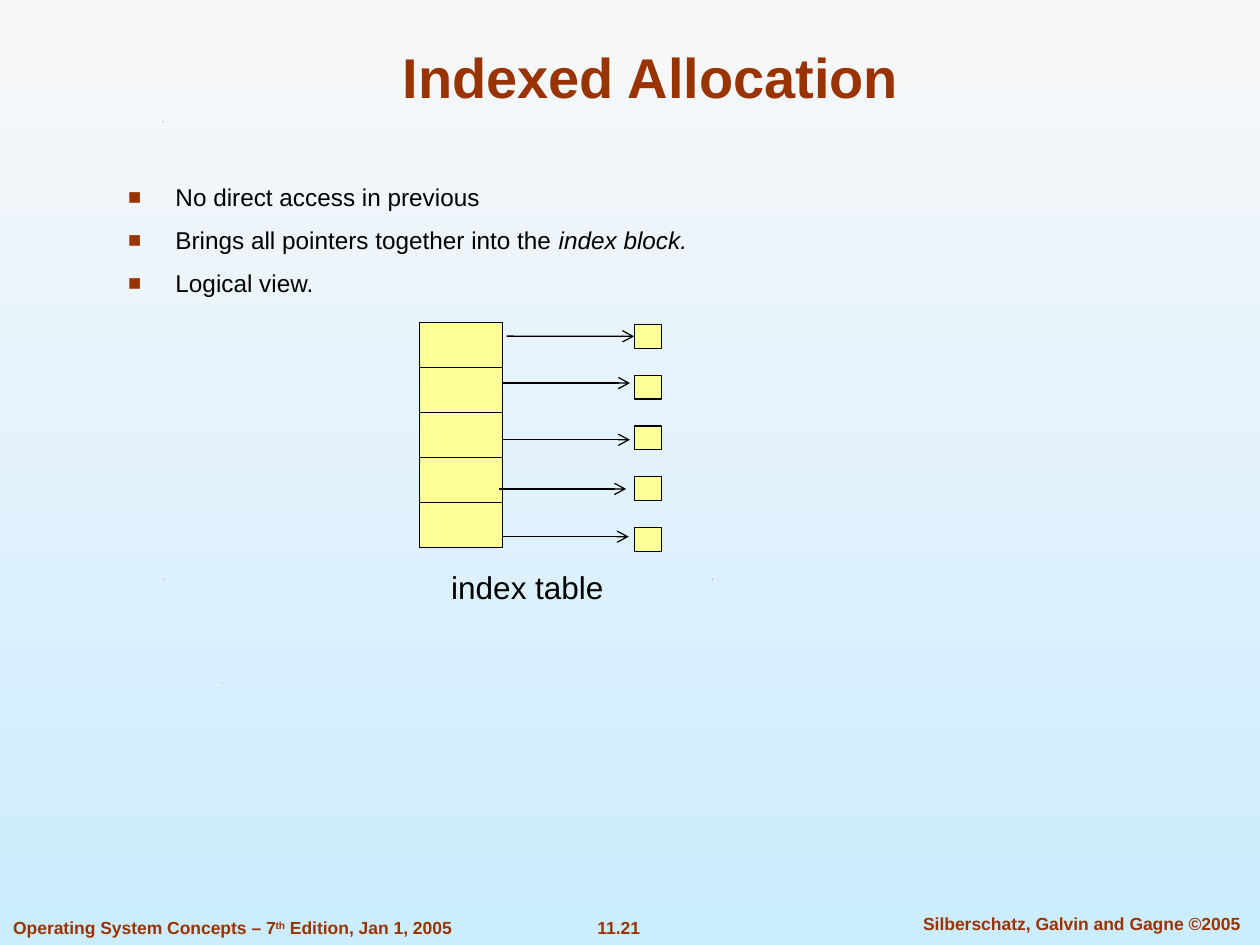
import pptx
import pptx.util
import pptx.dml.color
import pptx.enum.text
import pptx.enum.shapes
import pptx.oxml
import pptx.oxml.ns
import lxml.etree

Pt = pptx.util.Pt
RGB = pptx.dml.color.RGBColor
Align = pptx.enum.text.PP_ALIGN
Anchor = pptx.enum.text.MSO_ANCHOR
qn = pptx.oxml.ns.qn

RUST = RGB(0x99, 0x33, 0x00)
BLACK = RGB(0x00, 0x00, 0x00)
YELLOW = RGB(0xFF, 0xFF, 0x99)
PALE = RGB(0xF8, 0xF8, 0xF8)
SKY = RGB(0xCC, 0xEC, 0xFF)

TITLE = "Indexed Allocation"
POINTS = [
    ["No direct access in previous"],
    ["Brings all pointers together into the ", ("index block.", "italic")],
    ["Logical view."],
]
LABEL = "index table"
PAGE = "11.21"
CREDIT = "Silberschatz, Galvin and Gagne ©2005"
BOOK = ["Operating System Concepts – 7", ("th", "super"), " Edition, Jan 1, 2005"]
ARROWS = [(289.5, 192.1), (287.3, 218.9), (287.3, 251.3), (285.1, 279.4), (286.6, 306.7)]
SPECKS = [(126.7, 390.6), (93.6, 331.2), (406.8, 331.2), (92.9, 69.8)]

ROWS = len(ARROWS)
CELL = (239.8, 184.3, 47.5, 25.7)
BLOCK = (362.4, 185.4, 15.8, 13.6)
STEP = 29
REACH = 72.7


def place(shape, box):
    shape.left, shape.top, shape.width, shape.height = map(Pt, box)


def write(shape, paras, size=10, color=RUST, bold=False, align=Align.LEFT,
          anchor=Anchor.TOP, wrap=True, before=0, bullet=None):
    frame = shape.text_frame
    frame.word_wrap = wrap
    frame.vertical_anchor = anchor
    frame.auto_size = pptx.enum.text.MSO_AUTO_SIZE.NONE
    for i, parts in enumerate(paras):
        para = frame.paragraphs[0] if i == 0 else frame.add_paragraph()
        para.alignment = align
        para.space_before = Pt(before)
        if bullet:
            mark(para, bullet)
        for part in parts:
            text, style = part if isinstance(part, tuple) else (part, "")
            run = para.add_run()
            run.text = text
            font = run.font
            font.name, font.size, font.bold = "Arial", Pt(size), bold
            font.color.rgb = color
            if style == "italic":
                font.italic = True
            if style == "super":
                run._r.get_or_add_rPr().set("baseline", "30000")


def mark(para, char):
    props = para._p.get_or_add_pPr()
    props.set("marL", str(Pt(27)))
    props.set("indent", str(-Pt(27)))
    tint = lxml.etree.SubElement(props, qn("a:buClr"))
    lxml.etree.SubElement(tint, qn("a:srgbClr")).set("val", str(RUST))
    lxml.etree.SubElement(props, qn("a:buSzPct")).set("val", "90000")
    lxml.etree.SubElement(props, qn("a:buFont")).set("typeface", "Arial")
    lxml.etree.SubElement(props, qn("a:buChar")).set("char", char)


def label(slide, box, paras, **format):
    shape = slide.shapes.add_textbox(*map(Pt, box))
    write(shape, paras, **format)


def rect(slide, box):
    kind = pptx.enum.shapes.MSO_SHAPE.RECTANGLE
    shape = slide.shapes.add_shape(kind, *map(Pt, box))
    shape.shadow.inherit = False
    shape.fill.solid()
    shape.fill.fore_color.rgb = YELLOW
    shape.line.color.rgb = BLACK
    shape.line.width = Pt(0.75)
    return shape


def column(slide, box, step):
    x, y, w, h = box
    return [rect(slide, (x, y + i * step, w, h)) for i in range(ROWS)]


def arrow(slide, x, y):
    kind = pptx.enum.shapes.MSO_CONNECTOR.STRAIGHT
    line = slide.shapes.add_connector(kind, Pt(x), Pt(y), Pt(x + REACH), Pt(y))
    line.line.color.rgb = BLACK
    line.line.width = Pt(0.75)
    tip = lxml.etree.SubElement(line.line._get_or_add_ln(), qn("a:tailEnd"))
    tip.set("type", "arrow")
    lxml.etree.SubElement(line._element.spPr, qn("a:effectLst"))
    return line


def speck(slide, x, y):
    form = slide.shapes.build_freeform(Pt(x), Pt(y))
    form.add_line_segments([(Pt(x + 0.6), Pt(y - 0.4)), (Pt(x + 0.3), Pt(y))])
    shape = form.convert_to_shape()
    shape.shadow.inherit = False
    shape.fill.solid()
    shape.fill.fore_color.rgb = BLACK
    shape.line.fill.background()


def main():
    deck = pptx.Presentation()
    deck.slide_width, deck.slide_height = Pt(720), Pt(540)
    slide = deck.slides.add_slide(deck.slide_layouts[5])
    fill = slide.background.fill
    fill.gradient()
    fill.gradient_angle = 270
    for stop, color in zip(fill.gradient_stops, (PALE, SKY)):
        stop.color.rgb = color

    for x, y in SPECKS:
        speck(slide, x, y)
    foot = dict(bold=True, before=6.2)
    label(slide, (315.4, 520.6, 76.3, 19.4), [[PAGE]], align=Align.CENTER, wrap=False, **foot)
    label(slide, (511.2, 518.4, 213.8, 19.4), [[CREDIT]], align=Align.CENTER, **foot)
    label(slide, (0.4, 520.6, 265, 19.4), [BOOK], wrap=False, **foot)

    title = slide.shapes.title
    place(title, (54, 18, 635.8, 48.2))
    write(title, [[TITLE]], size=32, bold=True, align=Align.CENTER, anchor=Anchor.BOTTOM)
    label(slide, (66.2, 100.8, 578.9, 73.4), POINTS, size=13.9, color=BLACK,
          before=7.9, bullet="■")

    column(slide, CELL, CELL[3])
    blocks = column(slide, BLOCK, STEP)
    lines = [arrow(slide, x, y) for x, y in ARROWS]
    lines[0].end_connect(blocks[0], 1)
    label(slide, (250.6, 321.1, 101.5, 28.8), [[LABEL]], size=18, color=BLACK,
          align=Align.CENTER, anchor=Anchor.MIDDLE, wrap=False, before=11.2)

    deck.save("out.pptx")


if __name__ == "__main__":
    main()
